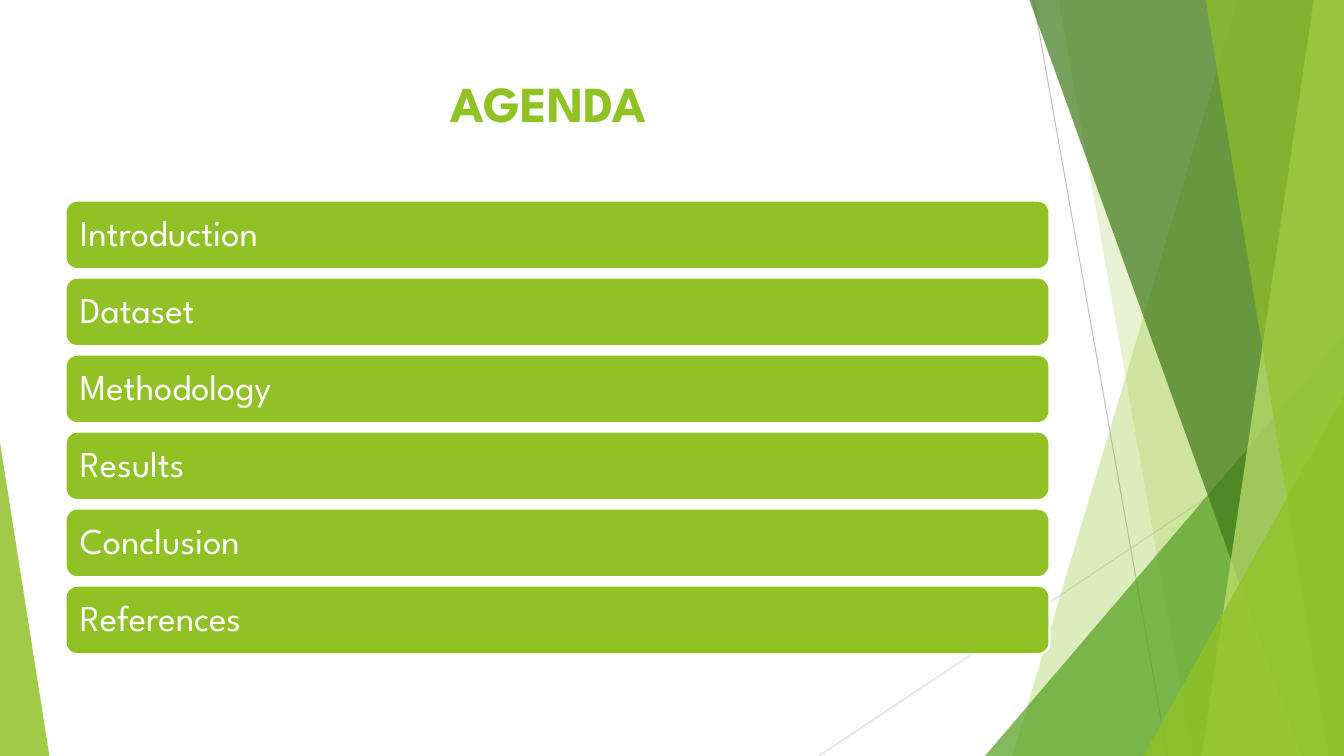
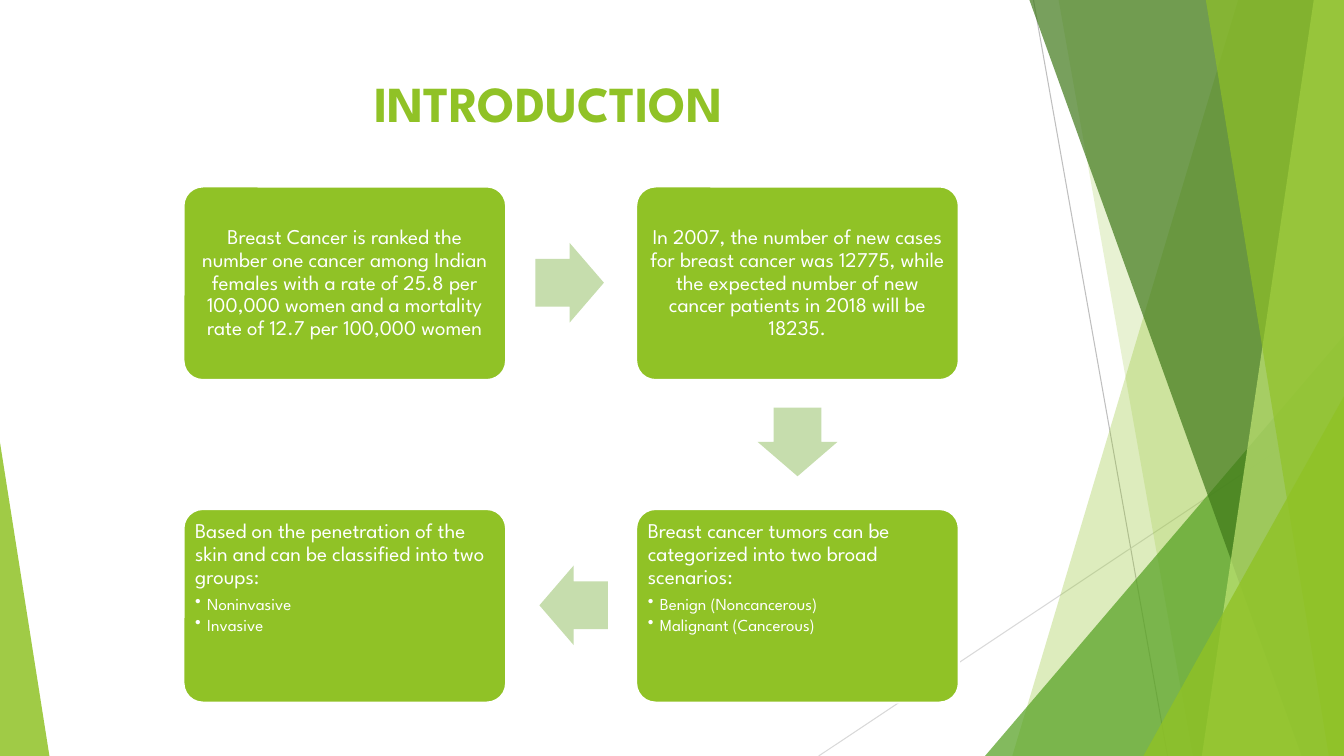
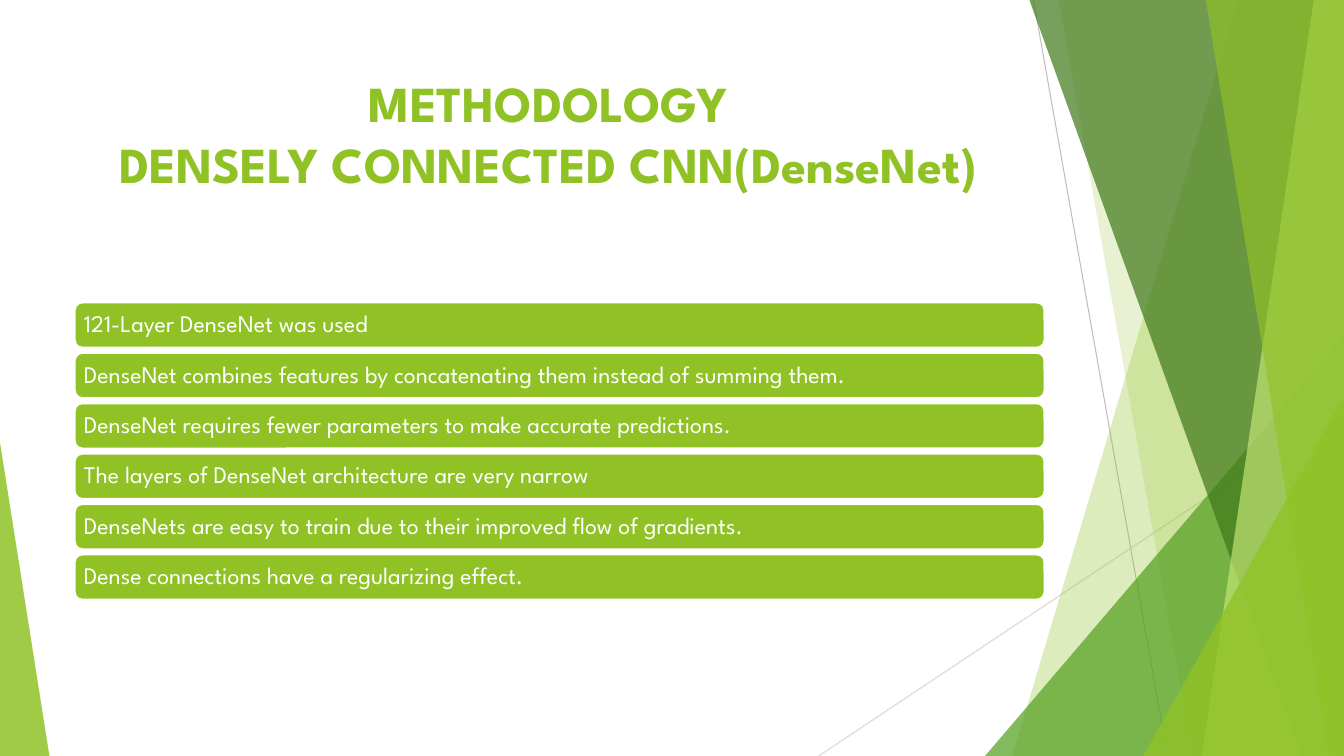
import pptx
import pptx.dml.color
import pptx.enum.dml
import pptx.enum.shapes
import pptx.enum.text
import pptx.oxml
import pptx.oxml.ns
import pptx.util
from pptx.util import Inches

SLIDE_WIDTH, SLIDE_HEIGHT = 13.33, 7.5
FONT = "League Spartan"
GREEN, MID_GREEN, DARK_GREEN, LIME = "90C226", "54A021", "3F7819", "C0E474"
ARROW_GREEN, WHITE = "C6DDAD", "FFFFFF"
SHAPES = pptx.enum.shapes.MSO_SHAPE
ALIGN = pptx.enum.text.PP_ALIGN
ANCHOR = pptx.enum.text.MSO_ANCHOR


def color(hex_value):
    return pptx.dml.color.RGBColor.from_string(hex_value)


def add_xml(parent, tag, **attributes):
    child = parent.makeelement(pptx.oxml.ns.qn(tag), attributes)
    parent.append(child)
    return child


def paint(shape, fill, opacity=100, outline=None):
    """Give a shape a flat fill, with an optional outline and opacity in percent."""
    shape.shadow.inherit = False
    shape.fill.solid()
    shape.fill.fore_color.rgb = color(fill)
    if opacity < 100:
        fill_color = shape.element.spPr.find(".//" + pptx.oxml.ns.qn("a:srgbClr"))
        add_xml(fill_color, "a:alpha", val=str(opacity * 1000))
    if outline:
        shape.line.color.rgb = color(outline)
        shape.line.width = pptx.util.Pt(1.5)
    else:
        shape.line.fill.background()


def add_preset(slide, kind, box, adjustments=()):
    shape = slide.shapes.add_shape(kind, *[Inches(length) for length in box])
    for index, value in enumerate(adjustments):
        shape.adjustments[index] = value
    return shape


def add_run(paragraph, text, size, font_color, bold=False):
    run = paragraph.add_run()
    run.text = text
    run.font.name = FONT
    run.font.size = pptx.util.Pt(size)
    run.font.bold = bold
    run.font.color.rgb = color(font_color)


def add_hairline(slide, start, end, line_color):
    points = [Inches(value) for value in (*start, *end)]
    line = slide.shapes.add_connector(pptx.enum.shapes.MSO_CONNECTOR.STRAIGHT, *points)
    line.line.color.rgb = color(line_color)
    line.line.width = pptx.util.Pt(0.75)
    add_xml(line.element.spPr, "a:effectLst")


def add_slanted_band(slide, top_x, bottom_x, fill, opacity):
    """Fill the area from a slanted left edge to the right side of the slide."""
    corners = [(top_x, 0), (SLIDE_WIDTH, 0), (SLIDE_WIDTH, SLIDE_HEIGHT), (bottom_x, SLIDE_HEIGHT)]
    corners = [(Inches(x), Inches(y)) for x, y in corners]
    builder = slide.shapes.build_freeform(*corners[0], scale=1.0)
    builder.add_line_segments(corners[1:], close=True)
    paint(builder.convert_to_shape(), fill, opacity)


def add_corner_triangle(slide, left, top, width, apex, fill, opacity):
    box = (left, top, width, SLIDE_HEIGHT - top)
    paint(add_preset(slide, SHAPES.ISOSCELES_TRIANGLE, box, [apex]), fill, opacity)


def decorate_layout(layout, slide):
    """Draw the facets on a slide, then move them to the layout all slides share."""
    for placeholder in list(layout.placeholders):
        if placeholder.placeholder_format.type != pptx.enum.shapes.PP_PLACEHOLDER.TITLE:
            placeholder.element.getparent().remove(placeholder.element)
    title_count = len(slide.shapes)
    add_hairline(slide, (10.25, 0), (11.58, SLIDE_HEIGHT), "BFBFBF")
    add_hairline(slide, (SLIDE_WIDTH, 4.03), (8.12, SLIDE_HEIGHT), "D9D9D9")
    add_slanted_band(slide, 12.28, 10.04, GREEN, 30)
    add_slanted_band(slide, 10.5, 11.83, GREEN, 20)
    add_corner_triangle(slide, 9.77, 3.33, 3.56, 1, MID_GREEN, 72)
    add_slanted_band(slide, 10.21, 12.91, DARK_GREEN, 70)
    add_slanted_band(slide, 13.03, 11.92, LIME, 70)
    add_slanted_band(slide, 11.96, 13.18, GREEN, 65)
    add_corner_triangle(slide, 11.34, 3.93, 1.99, 1, GREEN, 80)
    add_corner_triangle(slide, 0, 4.39, 0.49, 0, GREEN, 85)
    for index, shape in enumerate(list(slide.shapes)[title_count:]):
        layout.shapes.element.insert(2 + index, shape.element)


def set_title(slide, lines, height):
    title = slide.shapes.title
    title.left, title.top = Inches(0.74), Inches(0.67)
    title.width, title.height = Inches(9.4), Inches(height)
    frame = title.text_frame
    frame.word_wrap = True
    frame.auto_size = pptx.enum.text.MSO_AUTO_SIZE.NONE
    frame.vertical_anchor = ANCHOR.TOP
    paragraph = frame.paragraphs[0]
    paragraph.alignment = ALIGN.CENTER
    for index, line in enumerate(lines):
        if index:
            paragraph.add_line_break()
        add_run(paragraph, line, 36, GREEN, bold=True)


def add_panel(slide, box, text, size, inset, rounding=0.17, bullets=(), centered=False):
    """Add a green rounded box; with bullets its text starts at the top."""
    panel = add_preset(slide, SHAPES.ROUNDED_RECTANGLE, box, [rounding])
    paint(panel, GREEN, outline=WHITE)
    frame = panel.text_frame
    frame.word_wrap = True
    frame.margin_left = frame.margin_right = Inches(inset)
    frame.margin_top = frame.margin_bottom = Inches(inset)
    frame.vertical_anchor = ANCHOR.TOP if bullets else ANCHOR.MIDDLE
    paragraph = frame.paragraphs[0]
    paragraph.alignment = ALIGN.CENTER if centered else ALIGN.LEFT
    paragraph.line_spacing = 0.9
    if bullets:
        paragraph.space_after = pptx.util.Pt(5)
    add_run(paragraph, text, size, WHITE)
    for bullet in bullets:
        add_bullet(frame, bullet)


def add_bullet(frame, text):
    paragraph = frame.add_paragraph()
    paragraph.alignment = ALIGN.LEFT
    paragraph.level = 1
    paragraph.line_spacing = 0.9
    paragraph.space_after = pptx.util.Pt(2)
    properties = paragraph._p.get_or_add_pPr()
    properties.set("marL", str(Inches(0.12)))
    properties.set("indent", str(Inches(-0.12)))
    add_xml(properties, "a:buChar", char="•")
    add_run(paragraph, text, 12, WHITE)


def add_panel_list(slide, texts, left, width, height, first_top, last_top, size, inset):
    """Stack full-width panels at equal steps."""
    step = (last_top - first_top) / (len(texts) - 1)
    for index, text in enumerate(texts):
        add_panel(slide, (left, first_top + index * step, width, height), text, size, inset)


def add_flow_arrow(slide, left, top, rotation):
    arrow = add_preset(slide, SHAPES.RIGHT_ARROW, (left, top, 0.68, 0.79), [0.6, 0.5])
    arrow.rotation = rotation
    paint(arrow, ARROW_GREEN)


def fill_agenda(slide):
    set_title(slide, ["AGENDA"], 0.86)
    topics = ["Introduction", "Dataset", "Methodology", "Results", "Conclusion", "References"]
    add_panel_list(slide, topics, 0.65, 9.76, 0.68, 1.99, 5.81, 26, 0.11)


def fill_introduction(slide):
    set_title(slide, ["INTRODUCTION"], 0.94)
    left, right, upper, lower = 1.82, 6.31, 1.85, 5.05
    cards = [
        (left, upper, "Breast Cancer is ranked the number one cancer among Indian females with a rate "
         "of 25.8 per 100,000 women and a mortality rate of 12.7 per 100,000 women", ()),
        (right, upper, "In 2007, the number of new cases for breast cancer was 12775, while the "
         "expected number of new cancer patients in 2018 will be 18235.", ()),
        (right, lower, "Breast cancer tumors can be categorized into two broad scenarios:",
         ("Benign (Noncancerous)", "Malignant (Cancerous)")),
        (left, lower, "Based on the penetration of the skin and can be classified into two groups:",
         ("Noninvasive", "Invasive")),
    ]
    for x, y, text, bullets in cards:
        add_panel(slide, (x, y, 3.2, 1.92), text, 15, 0.06, 0.1, bullets, centered=not bullets)
    for x, y, rotation in [(5.31, 2.41, 0), (7.57, 3.99, 90), (5.35, 5.61, 180)]:
        add_flow_arrow(slide, x, y, rotation)


def fill_methodology(slide):
    set_title(slide, ["METHODOLOGY", "DENSELY CONNECTED CNN(DenseNet)"], 1.44)
    points = [
        "121-Layer DenseNet was used",
        "DenseNet combines features by concatenating them instead of summing them.",
        "DenseNet requires fewer parameters to make accurate predictions.",
        "The layers of DenseNet architecture are very narrow",
        "DenseNets are easy to train due to their improved flow of gradients.",
        "Dense connections have a regularizing effect.",
    ]
    add_panel_list(slide, points, 0.74, 9.62, 0.45, 3, 5.5, 17, 0.07)


def main():
    presentation = pptx.Presentation()
    presentation.slide_width = Inches(SLIDE_WIDTH)
    presentation.slide_height = Inches(SLIDE_HEIGHT)
    layout = presentation.slide_layouts.get_by_name("Title Only")
    builders = [fill_agenda, fill_introduction, fill_methodology]
    slides = [presentation.slides.add_slide(layout) for _ in builders]
    decorate_layout(layout, slides[0])
    for slide, fill_slide in zip(slides, builders):
        fill_slide(slide)
    presentation.save("out.pptx")


if __name__ == "__main__":
    main()
